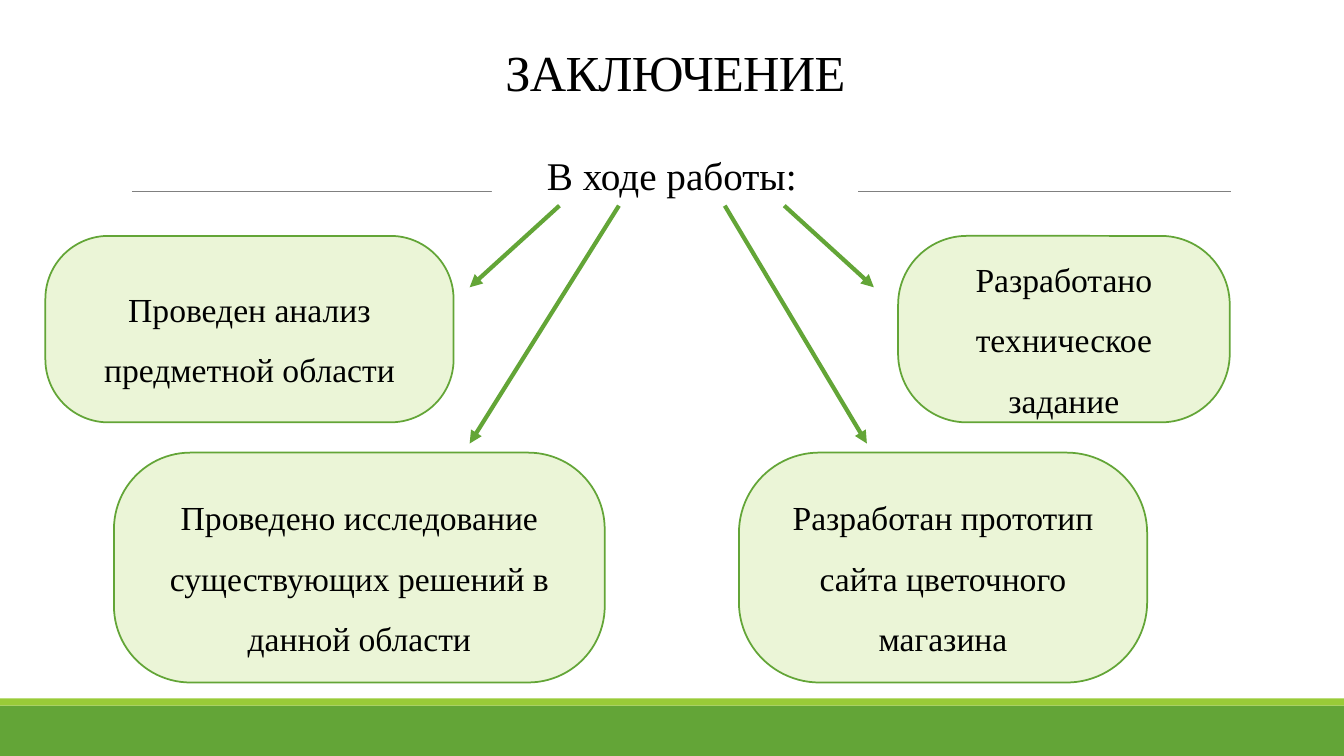
from lxml import etree
from pptx import Presentation
from pptx.dml.color import RGBColor
from pptx.enum import shapes, text
from pptx.oxml import ns
from pptx.util import Pt

GREEN = RGBColor(0x63, 0xA5, 0x37)
LIME = RGBColor(0x99, 0xCB, 0x38)
PALE = RGBColor(0xEB, 0xF5, 0xD7)
GRAY = RGBColor(0x80, 0x80, 0x80)
WHITE = RGBColor(0xFF, 0xFF, 0xFF)
BLACK = RGBColor(0, 0, 0)


class SlideBuilder:
    font = "Times New Roman"
    line_spacing = 1.5

    def __init__(self, slide):
        self.shapes = slide.shapes

    def set_words(self, box, words, size, anchor, wrap=True, spacing=0):
        """Fill a box with one centred paragraph; spacing is in points."""
        frame = box.text_frame
        frame.text = words
        frame.word_wrap = wrap
        frame.vertical_anchor = anchor
        para = frame.paragraphs[0]
        para.alignment = text.PP_ALIGN.CENTER
        para.line_spacing = self.line_spacing
        span = para.runs[0]
        span.font.name = self.font
        span.font.size = Pt(size)
        span.font.color.rgb = BLACK
        if spacing:
            span._r.get_or_add_rPr().set("spc", str(round(spacing * 100)))

    def shape(self, kind, area, fill, outline=None):
        box = self.shapes.add_shape(kind, *map(Pt, area))
        box.shadow.inherit = False
        box.fill.solid()
        box.fill.fore_color.rgb = fill
        if outline is None:
            box.line.fill.background()
        else:
            box.line.color.rgb = outline
            box.line.width = Pt(1.25)
        return box

    def bar(self, area, fill):
        self.shape(shapes.MSO_SHAPE.RECTANGLE, area, fill)

    def card(self, area, rounding, words):
        box = self.shape(shapes.MSO_SHAPE.ROUNDED_RECTANGLE, area, PALE, GREEN)
        box.adjustments[0] = rounding
        self.set_words(box, words, 24, text.MSO_ANCHOR.MIDDLE)

    def label(self, area, words, size, anchor, **style):
        box = self.shapes.add_textbox(*map(Pt, area))
        self.set_words(box, words, size, anchor, **style)

    def line(self, start, end, color, width, arrow=False):
        connector = self.shapes.add_connector(
            shapes.MSO_CONNECTOR.STRAIGHT, *map(Pt, start + end))
        connector.line.color.rgb = color
        connector.line.width = Pt(width)
        properties = connector._element.spPr
        if arrow:
            outline = properties.get_or_add_ln()
            etree.SubElement(outline, ns.qn("a:tailEnd"), type="triangle")
        etree.SubElement(properties, ns.qn("a:effectLst"))


def main():
    deck = Presentation()
    deck.slide_width, deck.slide_height = Pt(960), Pt(540)
    page = SlideBuilder(deck.slides.add_slide(deck.slide_layouts[6]))

    page.bar((0, 504, 960, 36), GREEN)
    page.bar((0, 498.8, 960, 5.2), LIME)
    page.line((94.3, 136.8), (879.1, 136.8), GRAY, 0.5)
    page.bar((351.4, 126.7, 261.4, 14.4), WHITE)

    page.label((86.4, 3.6, 792, 72.7), "ЗАКЛЮЧЕНИЕ", 36,
               text.MSO_ANCHOR.BOTTOM, spacing=-0.5)
    page.label((382.3, 87.8, 195.1, 51.8), "В ходе работы:", 28,
               text.MSO_ANCHOR.TOP, wrap=False)

    upper, lower = (168.5, 133.2), (323.3, 164.2)
    cards = [
        (32.4, 291.6, upper, 0.338, "Проведен анализ предметной области"),
        (641.5, 236.9, upper, 0.369, "Разработано техническое задание"),
        (81.4, 350.6, lower, 0.333,
         "Проведено исследование существующих решений в данной области"),
        (527.8, 291.6, lower, 0.35,
         "Разработан прототип сайта цветочного магазина"),
    ]
    for left, width, (top, height), rounding, words in cards:
        page.card((left, top, width, height), rounding, words)

    arrows = [(442.1, 335.5, 316.8), (399.6, 335.5, 205.2),
              (560.2, 624.2, 205.2), (517.7, 619.2, 316.8)]
    for start_x, end_x, end_y in arrows:
        page.line((start_x, 146.9), (end_x, end_y), GREEN, 3, arrow=True)

    deck.save("out.pptx")


if __name__ == "__main__":
    main()
